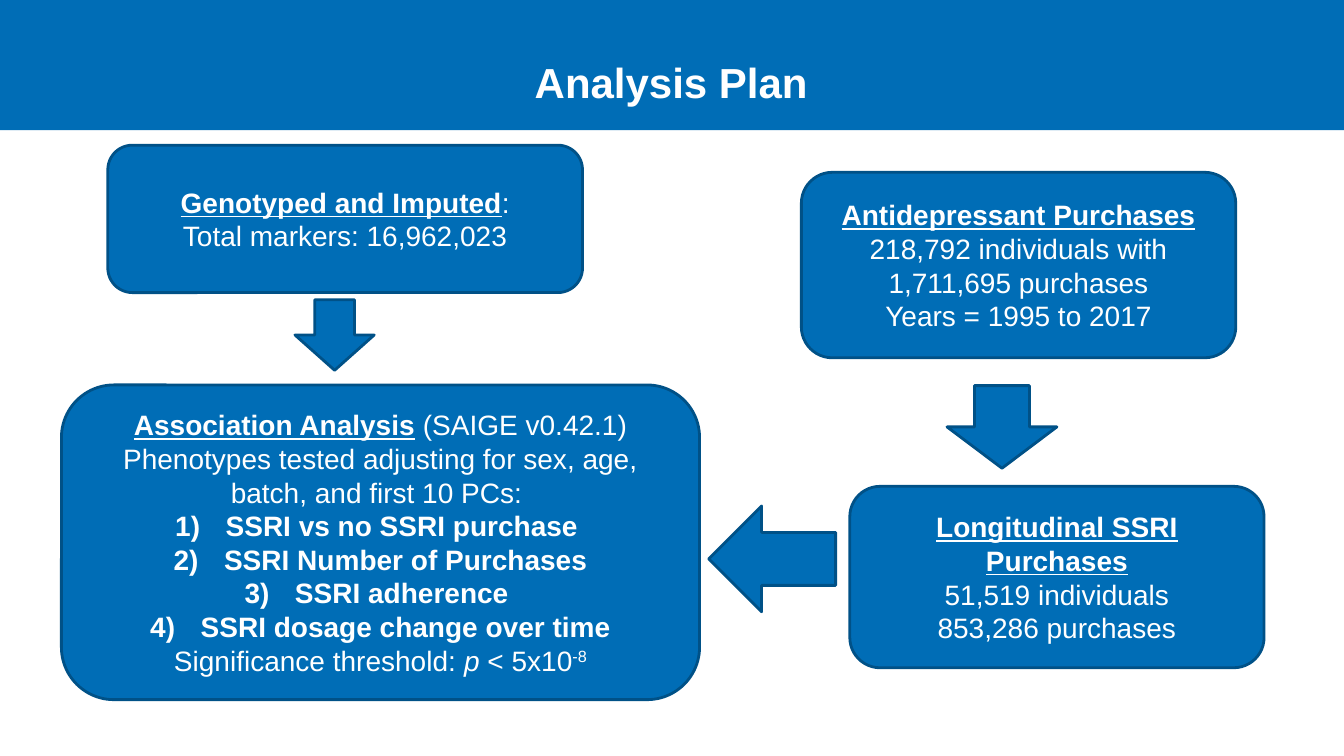
from dataclasses import dataclass

from lxml.etree import SubElement
from pptx import Presentation
from pptx.dml.color import RGBColor
from pptx.enum.shapes import MSO_SHAPE as Preset
from pptx.enum.text import MSO_ANCHOR as Anchor, MSO_AUTO_SIZE as AutoSize, PP_ALIGN as Align
from pptx.oxml.ns import qn
from pptx.util import Pt


@dataclass(frozen=True)
class Theme:
    font: str = "Arial"
    blue: RGBColor = RGBColor(0x00, 0x6D, 0xB6)
    outline: RGBColor = RGBColor(0x00, 0x51, 0x87)
    white: RGBColor = RGBColor(0xFF, 0xFF, 0xFF)
    title_size: int = 30
    body_size: int = 20
    outline_width: int = 2
    number_indent: int = 36


THEME = Theme()
HEADING = {"bold": True, "underline": True}


def add_text(paragraph, text, size=THEME.body_size, bold=False, italic=False,
             underline=False, baseline=None):
    run = paragraph.add_run()
    run.text = text
    font = run.font
    font.name, font.size = THEME.font, Pt(size)
    font.bold, font.italic, font.underline = bold, italic, underline
    font.color.rgb = THEME.white
    if baseline is not None:
        run._r.get_or_add_rPr().set("baseline", str(baseline * 1000))


class FlowSlide:
    def __init__(self, deck, theme):
        self.theme = theme
        self.slide = deck.slides.add_slide(deck.slide_layouts[5])

    def block(self, preset, bounds, outlined=True):
        block = self.slide.shapes.add_shape(preset, *map(Pt, bounds))
        block.shadow.inherit = False
        block.fill.solid()
        block.fill.fore_color.rgb = self.theme.blue
        if outlined:
            block.line.color.rgb = self.theme.outline
            block.line.width = Pt(self.theme.outline_width)
        else:
            block.line.fill.background()
        return block

    def title(self, text, bounds):
        heading = self.slide.shapes.title
        heading.element.getparent().append(heading.element)
        heading.left, heading.top, heading.width, heading.height = map(Pt, bounds)
        frame = heading.text_frame
        frame.word_wrap = True
        frame.auto_size = AutoSize.NONE
        frame.vertical_anchor = Anchor.MIDDLE
        frame.margin_left = frame.margin_right = Pt(1.44)
        frame.margin_top = frame.margin_bottom = Pt(1.44)
        paragraph = frame.paragraphs[0]
        paragraph.alignment = Align.CENTER
        add_text(paragraph, text, size=self.theme.title_size, bold=True)

    def number(self, paragraph):
        properties = paragraph._p.get_or_add_pPr()
        indent = Pt(self.theme.number_indent)
        properties.set("marL", str(indent))
        properties.set("indent", str(-indent))
        SubElement(properties, qn("a:buFont"), typeface=self.theme.font)
        SubElement(properties, qn("a:buAutoNum"), type="arabicParenR")

    def step(self, bounds, lines, numbered=()):
        frame = self.block(Preset.ROUNDED_RECTANGLE, bounds).text_frame
        frame.word_wrap = True
        frame.vertical_anchor = Anchor.MIDDLE
        for index, runs in enumerate(lines):
            paragraph = frame.add_paragraph() if index else frame.paragraphs[0]
            paragraph.alignment = Align.CENTER
            if index in numbered:
                self.number(paragraph)
            for text, style in runs:
                add_text(paragraph, text, **style)

    def arrow(self, bounds, rotation):
        self.block(Preset.RIGHT_ARROW, bounds).rotation = rotation


def main():
    deck = Presentation()
    deck.slide_width, deck.slide_height = Pt(960), Pt(540)
    plan = FlowSlide(deck, THEME)

    plan.block(Preset.RECTANGLE, (0, 0, 960, 92.9), outlined=False)
    plan.title("Analysis Plan", (66.2, 13.7, 826.6, 90))

    plan.step((572.4, 123.1, 310.3, 132.5), [
        [("Antidepressant Purchases", HEADING)],
        [("218,792 individuals with 1,711,695 purchases", {})],
        [("Years = 1995 to 2017", {})],
    ])
    plan.step((607, 347.4, 295.9, 129.6), [
        [("Longitudinal SSRI Purchases", HEADING)],
        [("51,519 individuals", {})],
        [("853,286 purchases", {})],
    ])
    plan.arrow((213.8, 211, 50.4, 56.6), 90)
    plan.arrow((686.2, 265.7, 59, 78.5), 90)

    phenotypes = ["SSRI vs no SSRI purchase ", "SSRI Number of Purchases",
                  "SSRI adherence ", "SSRI dosage change over time"]
    plan.step((43.9, 275, 455.8, 224.8), [
        [("Association Analysis", HEADING),
         (" (SAIGE v0.42.1) Phenotypes tested adjusting for sex, age, "
          "batch, and first 10 PCs: ", {})],
        *[[(phenotype, {"bold": True})] for phenotype in phenotypes],
        [("Significance threshold: ", {}), ("p ", {"italic": True}),
         ("< 5x10", {}), ("-8", {"baseline": 30})],
    ], numbered=range(1, 1 + len(phenotypes)))
    plan.step((77, 103.7, 339.1, 105.3), [
        [("Genotyped and Imputed", HEADING), (":", {})],
        [("Total markers: 16,962,023", {})],
    ])
    plan.arrow((506.2, 361.4, 90.7, 75.6), 180)

    deck.save("out.pptx")


if __name__ == "__main__":
    main()
